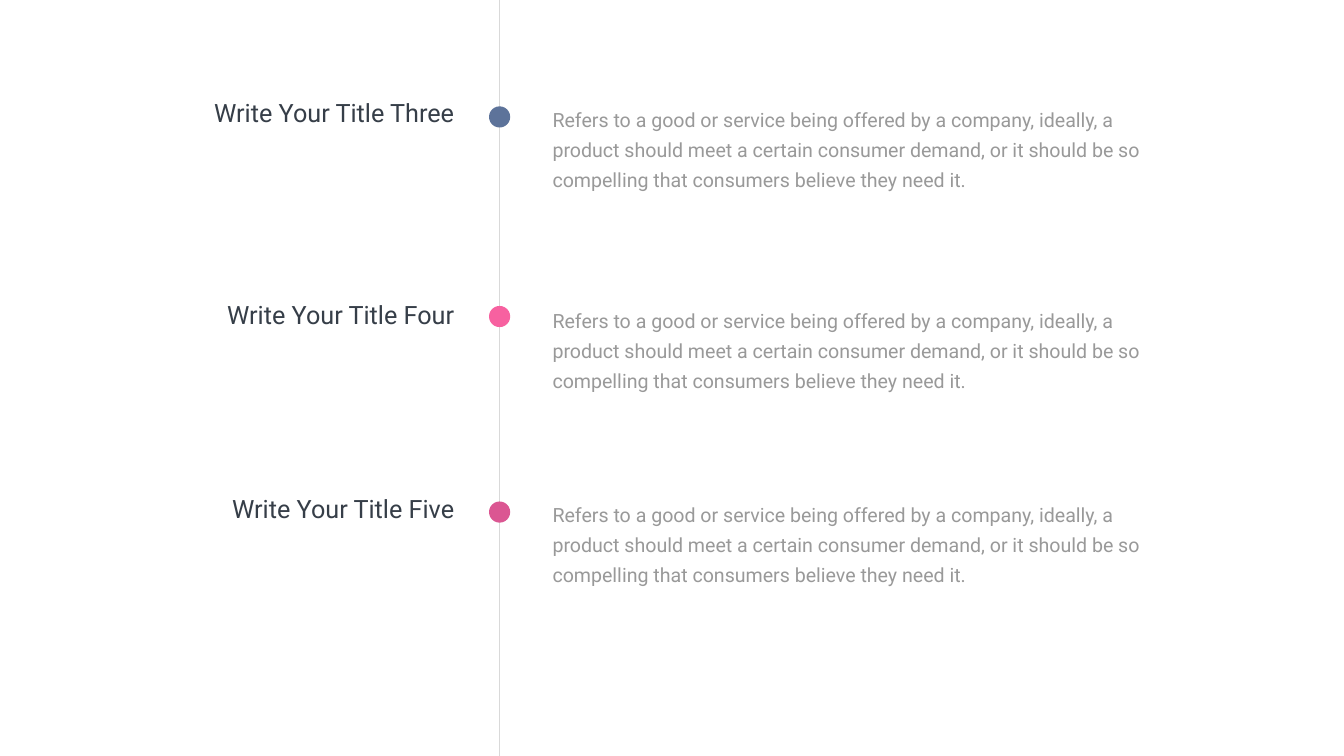
from lxml.etree import SubElement
from pptx import Presentation
from pptx.dml.color import RGBColor
from pptx.enum.shapes import MSO_CONNECTOR, MSO_SHAPE
from pptx.enum.text import MSO_AUTO_SIZE, PP_ALIGN
from pptx.oxml.ns import qn
from pptx.util import Pt

EMU_PER_PX = 9144
SLIDE_WIDTH, SLIDE_HEIGHT = 2666, 1500
AXIS_X = 991
DOT_SIZE = 42
FONT = "Roboto"

COLORS = {
    "background": "FFFFFF",
    "axis": "D9D9D9",
    "title": "363E48",
    "description": "999999",
    "three": "5D739A",
    "four": "F761A0",
    "five": "DB5692",
}

DESCRIPTION = (
    "Refers to a good or service being offered by a company, ideally, a product "
    "should meet a certain consumer demand, or it should be so compelling that "
    "consumers believe they need it."
)

MILESTONES = [
    ("Write Your Title Three", "three", 189, 211),
    ("Write Your Title Four", "four", 588, 607),
    ("Write Your Title Five", "five", 973, 995),
]


def px(length):
    return length * EMU_PER_PX


def color(name):
    return RGBColor.from_string(COLORS[name])


def add_axis(slide):
    axis = slide.shapes.add_connector(
        MSO_CONNECTOR.STRAIGHT, px(AXIS_X), 0, px(AXIS_X), px(SLIDE_HEIGHT)
    )
    axis.line.color.rgb = color("axis")
    axis.line.width = Pt(1.5)
    SubElement(axis.element.spPr, qn("a:effectLst"))


def add_dot(slide, top, fill):
    dot = slide.shapes.add_shape(
        MSO_SHAPE.OVAL, px(AXIS_X - DOT_SIZE // 2), px(top), px(DOT_SIZE), px(DOT_SIZE)
    )
    dot.shadow.inherit = False
    dot.fill.solid()
    dot.fill.fore_color.rgb = color(fill)
    dot.line.fill.background()


def add_text(slide, box, text, size, fill):
    frame = slide.shapes.add_textbox(*map(px, box)).text_frame
    frame.word_wrap = True
    frame.auto_size = MSO_AUTO_SIZE.SHAPE_TO_FIT_TEXT
    paragraph = frame.paragraphs[0]
    run = paragraph.add_run()
    run.text = text
    run.font.name = FONT
    run.font.size = Pt(size)
    run.font.color.rgb = color(fill)
    return frame, paragraph


def add_title(slide, top, text):
    _, paragraph = add_text(slide, (370, top, 541, 71), text, 36, "title")
    paragraph.alignment = PP_ALIGN.RIGHT


def add_description(slide, top):
    frame, paragraph = add_text(
        slide, (1072, top, 1295, 200), DESCRIPTION, 28, "description"
    )
    frame.margin_left = frame.margin_right = px(24)
    frame.margin_top = frame.margin_bottom = px(12)
    paragraph.line_spacing = Pt(43)


def main():
    deck = Presentation()
    deck.slide_width, deck.slide_height = px(SLIDE_WIDTH), px(SLIDE_HEIGHT)
    slide = deck.slides.add_slide(deck.slide_layouts[6])
    slide.background.fill.solid()
    slide.background.fill.fore_color.rgb = color("background")

    add_axis(slide)
    for title, fill, text_top, dot_top in MILESTONES:
        add_dot(slide, dot_top, fill)
        add_description(slide, text_top)
        add_title(slide, text_top, title)

    deck.save("out.pptx")


if __name__ == "__main__":
    main()
